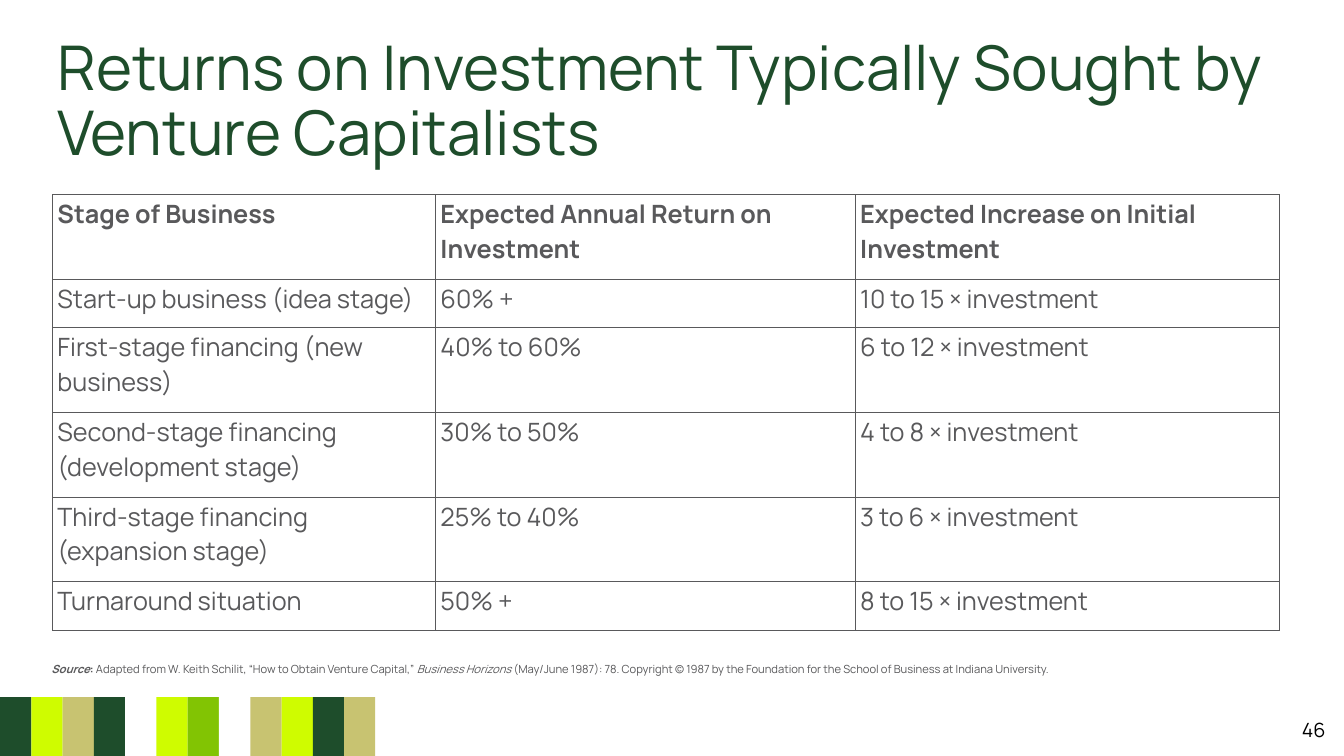
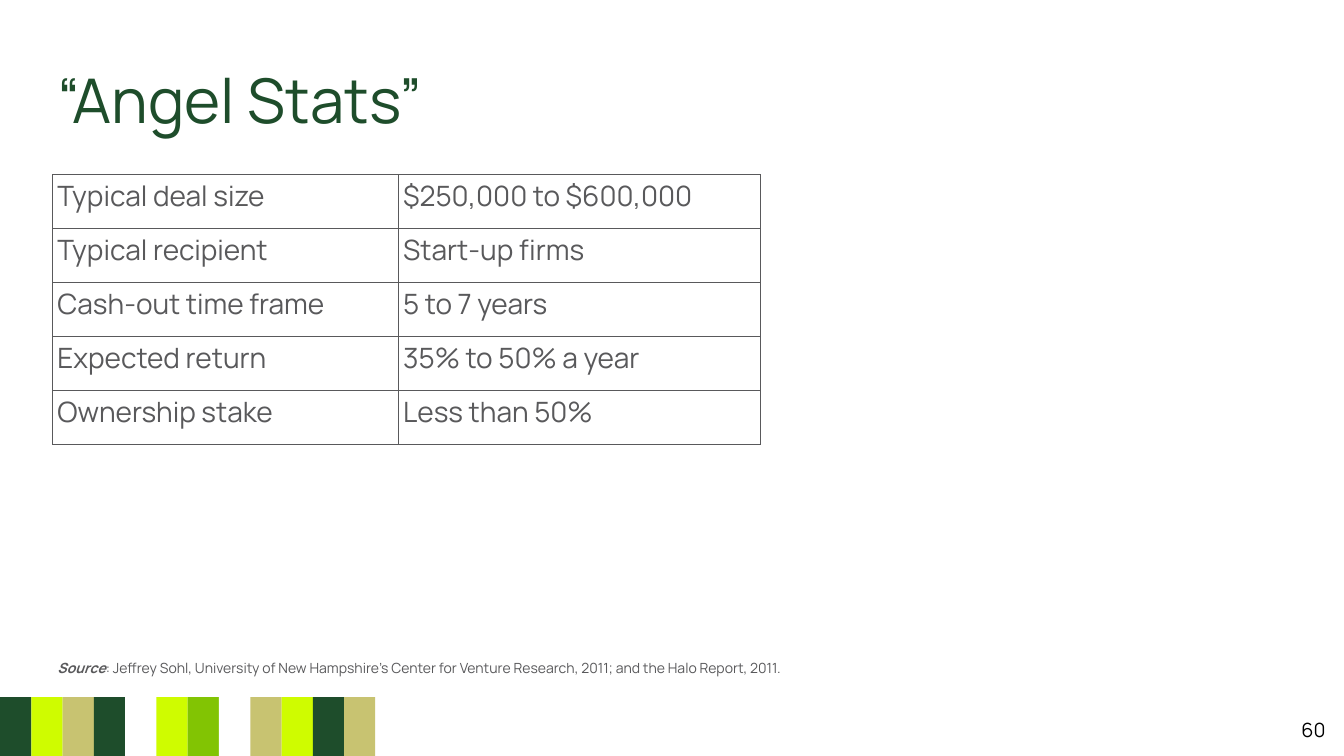
from lxml import etree
from pptx import Presentation
from pptx.dml.color import RGBColor
from pptx.enum.shapes import MSO_SHAPE
from pptx.enum.text import MSO_ANCHOR, MSO_AUTO_SIZE, PP_ALIGN
from pptx.oxml.ns import qn
from pptx.util import Inches, Pt

RECTANGLE = MSO_SHAPE.RECTANGLE
MIDDLE = MSO_ANCHOR.MIDDLE
GROW = MSO_AUTO_SIZE.SHAPE_TO_FIT_TEXT
LEFT, RIGHT = PP_ALIGN.LEFT, PP_ALIGN.RIGHT

FONT = "Manrope"
GREEN = RGBColor(0x1E, 0x4D, 0x2B)
LIME = RGBColor(0xCF, 0xFC, 0x00)
SAND = RGBColor(0xC8, 0xC3, 0x71)
LEAF = RGBColor(0x82, 0xC4, 0x03)
WHITE = RGBColor(0xFF, 0xFF, 0xFF)
GREY = RGBColor(0x59, 0x59, 0x5B)
BLACK = RGBColor(0x00, 0x00, 0x00)

STRIPES = [GREEN, LIME, SAND, GREEN, WHITE, LIME, LEAF,
           WHITE, SAND, LIME, GREEN, SAND, WHITE]
STRIPE_BAND = (0, 13.83, 8.07, 1.17)
PAGE_NUMBER_BOX = (25.39, 14.24, 1.01, 0.49)

RETURNS_ROWS = [
    ("Stage of Business", "Expected Annual Return on Investment",
     "Expected Increase on Initial Investment"),
    ("Start-up business (idea stage)", "60% +", "10 to 15 × investment"),
    ("First-stage financing (new business)", "40% to 60%", "6 to 12 × investment"),
    ("Second-stage financing (development stage)", "30% to 50%", "4 to 8 × investment"),
    ("Third-stage financing (expansion stage)", "25% to 40%", "3 to 6 × investment"),
    ("Turnaround situation", "50% +", "8 to 15 × investment"),
]
RETURNS_SOURCE = [
    ("Source", True, True),
    (": ", True, False),
    ("Adapted from W. Keith Schilit, “How to Obtain Venture Capital,” ", False, False),
    ("Business Horizons ", False, True),
    ("(May/June 1987): 78. Copyright © 1987 by the Foundation for the School of "
     "Business at Indiana University.", False, False),
]
ANGEL_ROWS = [
    ("Typical deal size", "$250,000 to $600,000"),
    ("Typical recipient", "Start-up firms"),
    ("Cash-out time frame", "5 to 7 years"),
    ("Expected return", "35% to 50% a year"),
    ("Ownership stake", "Less than 50%"),
]
ANGEL_SOURCE = [
    ("Source", True, True),
    (": Jeffrey Sohl, University of New Hampshire’s Center for Venture Research, 2011; "
     "and the Halo Report, 2011.", False, False),
]


def format_run(run, size, color, bold=False, italic=False):
    run.font.name = FONT
    run.font.size = Pt(size)
    run.font.color.rgb = color
    run.font.bold = bold
    run.font.italic = italic


def set_insets(text_frame, inset):
    text_frame.margin_left = text_frame.margin_right = Inches(inset)
    text_frame.margin_top = text_frame.margin_bottom = Inches(inset)


def add_stripes(slide, box):
    left, top, width, height = box
    group = slide.shapes.add_group_shape()
    stripe_width = width / len(STRIPES)
    for index, color in enumerate(STRIPES):
        stripe = group.shapes.add_shape(
            RECTANGLE, Inches(left + index * stripe_width), Inches(top),
            Inches(stripe_width), Inches(height))
        stripe.shadow.inherit = False
        stripe.fill.solid()
        stripe.fill.fore_color.rgb = color
        stripe.line.fill.background()


def set_title(slide, box, text):
    title = slide.shapes.title
    title.left, title.top, title.width, title.height = map(Inches, box)
    text_frame = title.text_frame
    text_frame.text = text
    text_frame.word_wrap = True
    text_frame.auto_size = GROW
    text_frame.vertical_anchor = MIDDLE
    set_insets(text_frame, 0.1)
    paragraph = text_frame.paragraphs[0]
    paragraph.alignment = LEFT
    paragraph.line_spacing = 0.88
    format_run(paragraph.runs[0], 88, GREEN)


def add_page_number(slide, box, number):
    text_frame = slide.shapes.add_textbox(*map(Inches, box)).text_frame
    text_frame.word_wrap = True
    text_frame.vertical_anchor = MIDDLE
    text_frame.text = str(number)
    paragraph = text_frame.paragraphs[0]
    paragraph.alignment = RIGHT
    format_run(paragraph.runs[0], 28, BLACK)


def add_source(slide, box, parts, size):
    text_frame = slide.shapes.add_textbox(*map(Inches, box)).text_frame
    text_frame.word_wrap = True
    text_frame.auto_size = GROW
    set_insets(text_frame, 0.1)
    for text, bold, italic in parts:
        run = text_frame.paragraphs[0].add_run()
        run.text = text
        format_run(run, size, GREY, bold, italic)


def set_borders(cell):
    properties = cell._tc.get_or_add_tcPr()
    for position, side in enumerate(("lnL", "lnR", "lnT", "lnB")):
        line = etree.Element(qn(f"a:{side}"), w=str(Pt(1)))
        fill = etree.SubElement(line, qn("a:solidFill"))
        etree.SubElement(fill, qn("a:srgbClr"), val=str(GREY))
        properties.insert(position, line)


def add_grid(slide, position, column_widths, row_heights, rows, size, has_header):
    left, top = position
    table = slide.shapes.add_table(
        len(rows), len(column_widths), Inches(left), Inches(top),
        Inches(sum(column_widths)), Inches(sum(row_heights))).table
    table.first_row = has_header
    table.horz_banding = False
    for column, width in zip(table.columns, column_widths):
        column.width = Inches(width)
    for row, height in zip(table.rows, row_heights):
        row.height = Inches(height)
    for row_index, texts in enumerate(rows):
        for column_index, text in enumerate(texts):
            cell = table.cell(row_index, column_index)
            cell.text = text
            cell.fill.background()
            set_borders(cell)
            format_run(cell.text_frame.paragraphs[0].runs[0], size, GREY,
                       bold=has_header and row_index == 0)


def add_base_slide(presentation, title, title_box, number):
    slide = presentation.slides.add_slide(presentation.slide_layouts[5])
    add_stripes(slide, STRIPE_BAND)
    set_title(slide, title_box, title)
    add_page_number(slide, PAGE_NUMBER_BOX, number)
    return slide


def add_returns_slide(presentation):
    slide = add_base_slide(
        presentation, "Returns on Investment Typically Sought by Venture Capitalists",
        (1.04, 0.48, 24.59, 3.16), 46)
    add_grid(slide, (1.04, 3.86), (7.6, 8.33, 8.42),
             (1.68, 0.96, 1.68, 1.68, 1.68, 0.96), RETURNS_ROWS, 36, True)
    add_source(slide, (0.92, 13.04, 24.59, 0.47), RETURNS_SOURCE, 16)


def add_angel_slide(presentation):
    slide = add_base_slide(
        presentation, "“Angel Stats”", (1.04, 1.22, 24.59, 1.68), 60)
    add_grid(slide, (1.04, 3.46), (6.86, 7.19), [1.07] * len(ANGEL_ROWS),
             ANGEL_ROWS, 40, False)
    add_source(slide, (1.04, 12.99, 22.98, 0.54), ANGEL_SOURCE, 20)


def main():
    presentation = Presentation()
    presentation.slide_width = Inches(26.67)
    presentation.slide_height = Inches(15)
    add_returns_slide(presentation)
    add_angel_slide(presentation)
    presentation.save("out.pptx")


if __name__ == "__main__":
    main()
